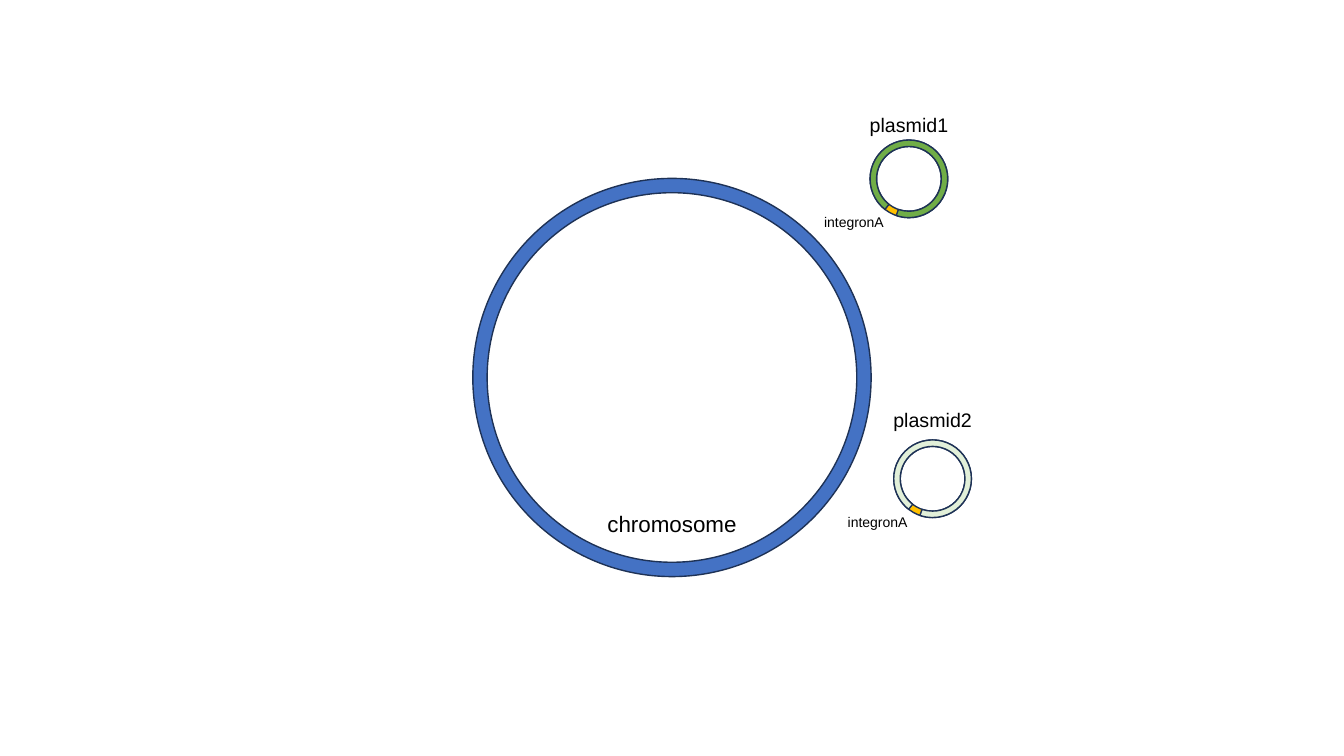
from pptx import Presentation
from pptx.dml.color import RGBColor
from pptx.enum.shapes import MSO_SHAPE
from pptx.enum.text import MSO_ANCHOR, PP_ALIGN
from pptx.util import Inches, Pt

DONUT, BLOCK_ARC = MSO_SHAPE.DONUT, MSO_SHAPE.BLOCK_ARC
CENTER, MIDDLE = PP_ALIGN.CENTER, MSO_ANCHOR.MIDDLE
FONT = "Arial"
COLORS = {
    "outline": "1E3256",
    "chromosome": "4472C4",
    "plasmid1": "70AD47",
    "plasmid2": "E2F0D9",
    "integron": "FFC000",
    "text": "000000",
}

deck = Presentation()
deck.slide_width, deck.slide_height = Inches(13.33), Inches(7.5)
page = deck.slides.add_slide(deck.slide_layouts[6])
ROW = deck.slide_height / 100  # square grid, 100 rows high

PLASMID_BAND = 0.083  # ring thickness as a share of the diameter
CHROMOSOME_BAND = 0.036
INTEGRON_START, INTEGRON_END = 109, 128  # degrees, clockwise from the right
DEGREE = 0.6  # one degree in adjustment units


def rows(*values):
    return [round(value * ROW) for value in values]


def circle(kind, left, top, size, adjustments, color):
    shape = page.shapes.add_shape(kind, *rows(left, top, size, size))
    for index, value in enumerate(adjustments):
        shape.adjustments[index] = value
    shape.shadow.inherit = False
    shape.fill.solid()
    shape.fill.fore_color.rgb = RGBColor.from_string(COLORS[color])
    shape.line.color.rgb = RGBColor.from_string(COLORS["outline"])
    shape.line.width = Pt(1)


def label(text, center_x, center_y, width, height, size):
    """Place a one-line label around its centre."""
    box = page.shapes.add_textbox(
        *rows(center_x - width / 2, center_y - height / 2, width, height))
    frame = box.text_frame
    frame.text = text
    frame.word_wrap = False
    frame.vertical_anchor = MIDDLE
    para = frame.paragraphs[0]
    para.alignment = CENTER
    font = para.runs[0].font
    font.name, font.size = FONT, Pt(size)
    font.color.rgb = RGBColor.from_string(COLORS["text"])


def plasmid(name, left, top, size, name_rise):
    # The integron shows through the gap in the backbone
    circle(DONUT, left, top, size, [PLASMID_BAND], "integron")
    backbone = [INTEGRON_END * DEGREE, INTEGRON_START * DEGREE, PLASMID_BAND]
    circle(BLOCK_ARC, left, top, size, backbone, name)
    # Labels above and at lower left
    label(name, left + size / 2, top - name_rise * size, 13.2, 4.53, 14)
    label("integronA", left - 0.21 * size, top + 1.06 * size, 10.67, 3.6, 10)


def chromosome(left, top, size):
    circle(DONUT, left, top, size, [CHROMOSOME_BAND], "chromosome")
    label("chromosome", left + size / 2, top + 0.868 * size, 20, 4.93, 16)


chromosome(62.53, 23.6, 52.67)
plasmid("plasmid1", 115.07, 18.53, 10.27, 0.2)
plasmid("plasmid2", 118.2, 58.2, 10.27, 0.26)

deck.save("out.pptx")
